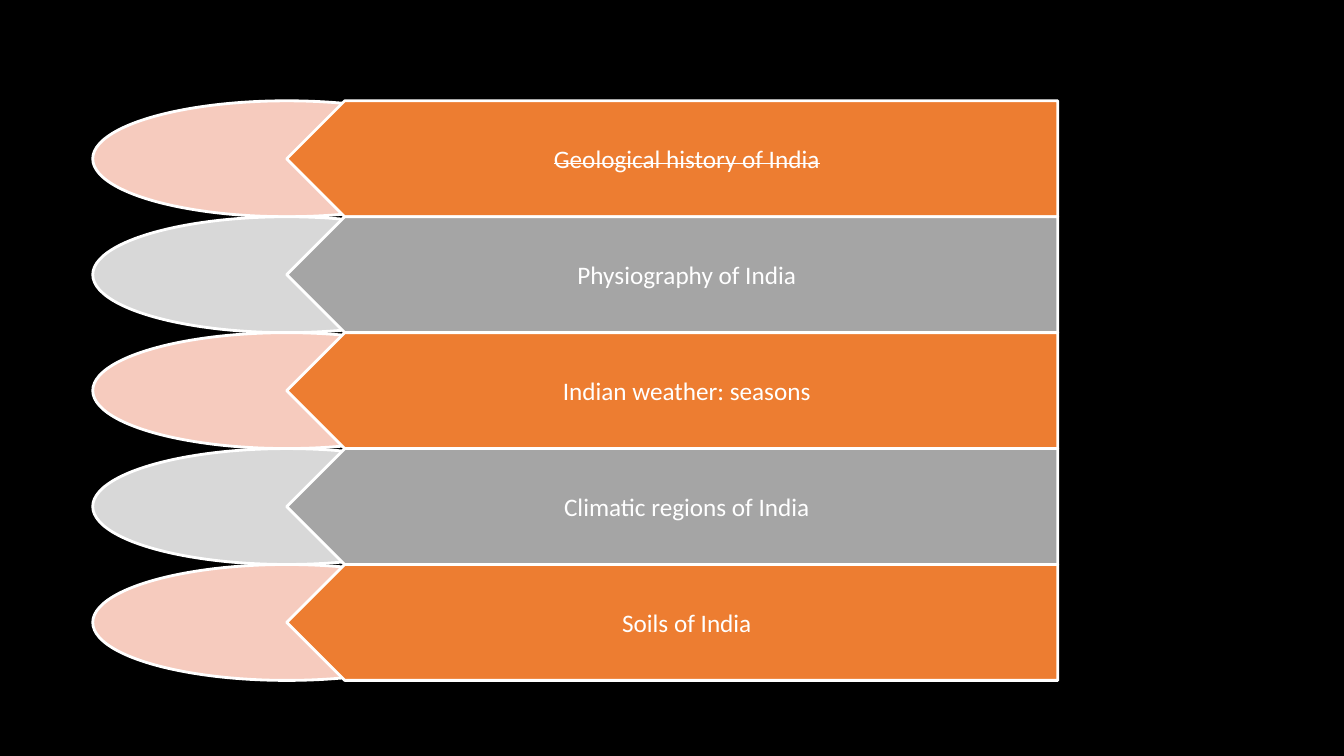
"""Build a slide listing topics of Indian geography as stacked arrow bands."""
from pptx import Presentation
from pptx.dml.color import RGBColor
from pptx.enum.shapes import MSO_SHAPE as Shape
from pptx.enum.text import MSO_ANCHOR as Anchor, PP_ALIGN as Align
from pptx.util import Pt

TOPICS = [
    ("Geological history of India", True),
    ("Physiography of India", False),
    ("Indian weather: seasons", False),
    ("Climatic regions of India", False),
    ("Soils of India", False),
]
COLORS = {
    "background": "000000",
    "white": "FFFFFF",
    "orange": "ED7D31",
    "pale_orange": "F6CBBE",
    "gray": "A5A5A5",
    "pale_gray": "D8D8D8",
}
BANDS = [("orange", "pale_orange"), ("gray", "pale_gray")]
TOP, ROW_HEIGHT = 72, 82.8
ELLIPSE_LEFT, ELLIPSE_WIDTH = 66.24, 277.2
ARROW_LEFT, ARROW_WIDTH = 204.8, 550.8


def color(name):
    return RGBColor.from_string(COLORS[name])


def add_part(group, kind, left, top, width, fill):
    shape = group.shapes.add_shape(kind, Pt(left), Pt(top), Pt(width), Pt(ROW_HEIGHT))
    shape.shadow.inherit = False
    shape.fill.solid()
    shape.fill.fore_color.rgb = color(fill)
    shape.line.color.rgb = color("white")
    shape.line.width = Pt(2)
    return shape


def add_label(arrow, text, struck):
    frame = arrow.text_frame
    frame.word_wrap = True
    frame.vertical_anchor = Anchor.MIDDLE
    frame.margin_left = frame.margin_right = Pt(8)
    frame.margin_top = frame.margin_bottom = Pt(4.5)
    frame._txBody.bodyPr.set("rot", "-10800000")
    paragraph = frame.paragraphs[0]
    paragraph.alignment = Align.CENTER
    paragraph.font.name = "Calibri"
    paragraph.font.size = Pt(18)
    paragraph.font.color.rgb = color("white")
    run = paragraph.add_run()
    run.text = text
    if struck:
        run._r.get_or_add_rPr().set("strike", "sngStrike")


def main():
    presentation = Presentation()
    presentation.slide_width, presentation.slide_height = Pt(960), Pt(540)
    slide = presentation.slides.add_slide(presentation.slide_layouts[6])
    slide.background.fill.solid()
    slide.background.fill.fore_color.rgb = color("background")
    group = slide.shapes.add_group_shape()
    for index, (text, struck) in enumerate(TOPICS):
        top = TOP + index * ROW_HEIGHT
        strong, pale = BANDS[index % len(BANDS)]
        add_part(group, Shape.OVAL, ELLIPSE_LEFT, top, ELLIPSE_WIDTH, pale)
        arrow = add_part(group, Shape.PENTAGON, ARROW_LEFT, top, ARROW_WIDTH, strong)
        arrow.rotation = 180
        add_label(arrow, text, struck)
    presentation.save("out.pptx")


if __name__ == "__main__":
    main()
